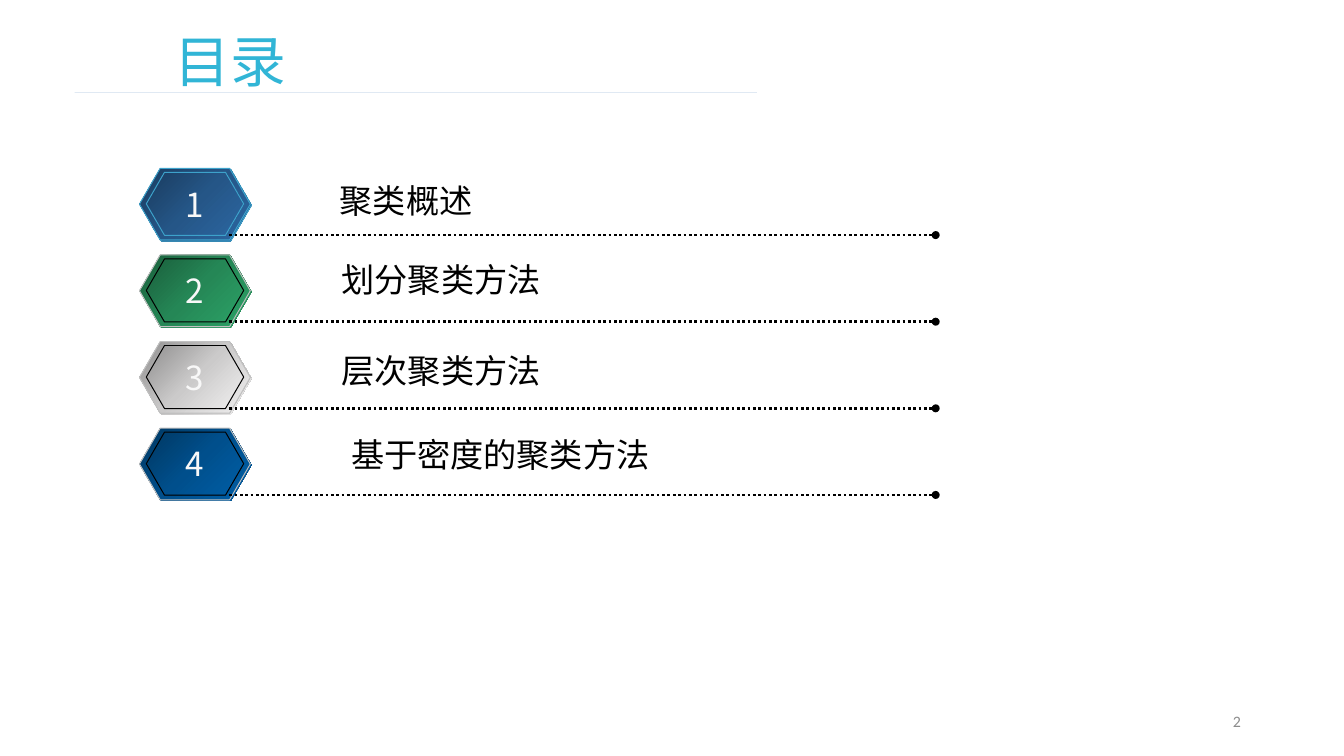
from copy import deepcopy
from lxml.etree import SubElement
from pptx import Presentation
from pptx.dml.color import RGBColor as RGB
from pptx.enum.dml import MSO_LINE as Dash
from pptx.enum.shapes import MSO_CONNECTOR as Conn, MSO_SHAPE as Shape
from pptx.enum.text import MSO_ANCHOR as Anchor, MSO_AUTO_SIZE as Auto, PP_ALIGN as Align
from pptx.oxml.ns import qn
from pptx.util import Pt

TITLE = "目录"
PAGE = "2"
ITEMS = [
    ("聚类概述", (248.4, 131.8, 116.6), "blue", ("sky", "sky", "sky")),
    ("划分聚类方法", (249.8, 191.5, 167), "green", (None, "silver", "black")),
    ("层次聚类方法", (249.8, 259.9, 167), "gray", (None, "silver", "black")),
    ("基于密度的聚类方法", (257, 323.3, 242.6), "navy", (None, "silver", "black")),
]
COLORS = {
    "title": "31B5D6", "rule": "4A7EBB", "sky": "3DA2CB", "silver": "C0C0C0",
    "black": "000000", "digit": "F8F8F8", "page": "8C8C8C",
}
BLENDS = {
    "blue": ("1A3C5F", "255687", "2B66A1"),
    "green": ("1A5F3C", "258756", "2BA166"),
    "gray": ("8F8E8E", "CBCACA", "F1F0F0"),
    "navy": ("003862", "004F8C", "005EA6"),
}
HEXES = [(106, 127.6, 83.5, 54), (105.1, 126.8, 83.5, 54), (110.2, 129.8, 73.4, 47.5)]
CJK, LATIN = "Noto Sans CJK SC", "Calibri"
PITCH = 65.25


def color(name):
    return RGB.from_string(COLORS[name])


def add_text(slide, text, box, size, tint, font=CJK, align=Align.LEFT, wrap=False):
    area = slide.shapes.add_textbox(*map(Pt, box))
    frame = area.text_frame
    frame.text = text
    frame.word_wrap = wrap
    frame.margin_left = frame.margin_right = Pt(7.6)
    frame.margin_top = frame.margin_bottom = Pt(3.8)
    para = frame.paragraphs[0]
    para.alignment = align
    run = para.runs[0]
    run.font.size = Pt(size)
    run.font.name = font
    run.font.color.rgb = color(tint)
    if font == CJK:
        SubElement(run.font._element, qn("a:ea")).set("typeface", font)
        frame.auto_size = Auto.SHAPE_TO_FIT_TEXT
    return frame


def add_hex(group, box, blend, edge):
    part = group.shapes.add_shape(Shape.HEXAGON, *map(Pt, box))
    part.shadow.inherit = False
    part.adjustments[0] = 0.289
    part.fill.gradient()
    stops = part._element.spPr.find(qn("a:gradFill")).find(qn("a:gsLst"))
    stops.append(deepcopy(stops[-1]))
    for stop, place, tint in zip(part.fill.gradient_stops, (0, 0.5, 1), BLENDS[blend]):
        stop.position = place
        stop.color.rgb = RGB.from_string(tint)
    part.fill.gradient_angle = 315
    if edge:
        part.line.color.rgb = color(edge)
        part.line.width = Pt(0.75)
    else:
        part.line.fill.background()


def add_line(slide, left, right, top, tint, width):
    line = slide.shapes.add_connector(Conn.STRAIGHT, Pt(left), Pt(top), Pt(right), Pt(top))
    line.line.color.rgb = color(tint)
    line.line.width = Pt(width)
    SubElement(line._element.spPr, qn("a:effectLst"))
    return line


def add_item(slide, row, label, place, blend, edges):
    drop = row * PITCH
    group = slide.shapes.add_group_shape()
    for (left, top, width, height), edge in zip(HEXES, edges):
        add_hex(group, (left, top + drop, width, height), blend, edge)
    line = add_line(slide, 172.8, 704.9, 177.1 + drop, "black", 2)
    line.line.dash_style = Dash.ROUND_DOT
    edge = line.line._ln
    edge.find(qn("a:prstDash")).set("val", "sysDot")
    SubElement(edge, qn("a:tailEnd")).set("type", "oval")
    add_text(slide, label, (*place, 38.2), 25, "black")
    add_text(slide, str(row + 1), (131.8, 134.8 + drop, 30.2, 38.2), 25, "digit",
             align=Align.CENTER)


def main():
    """Build the contents slide."""
    deck = Presentation()
    deck.slide_width, deck.slide_height = Pt(1012.5), Pt(569.5)
    slide = deck.slides.add_slide(deck.slide_layouts[6])
    add_text(slide, TITLE, (123.8, 16.6, 645, 59), 42, "title", wrap=True)
    rule = add_line(slide, 56.2, 570.2, 69.8, "rule", 0.5)
    tone = rule.line._ln.find(qn("a:solidFill"))[0]
    SubElement(tone, qn("a:alpha")).set("val", "25000")
    for row, item in enumerate(ITEMS):
        add_item(slide, row, *item)
    foot = add_text(slide, PAGE, (715, 527.8, 227.5, 30.2), 12, "page", LATIN, Align.RIGHT, True)
    foot.vertical_anchor = Anchor.MIDDLE
    deck.save("out.pptx")


if __name__ == "__main__":
    main()
